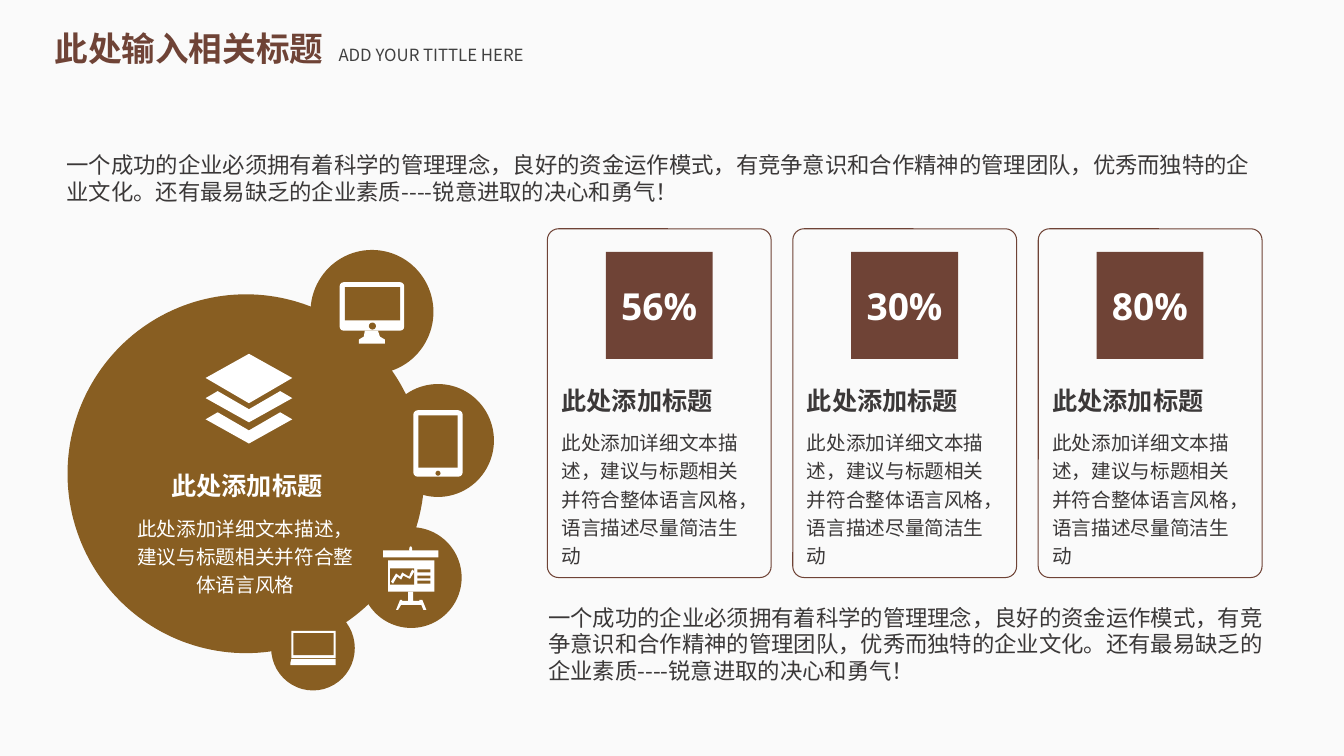
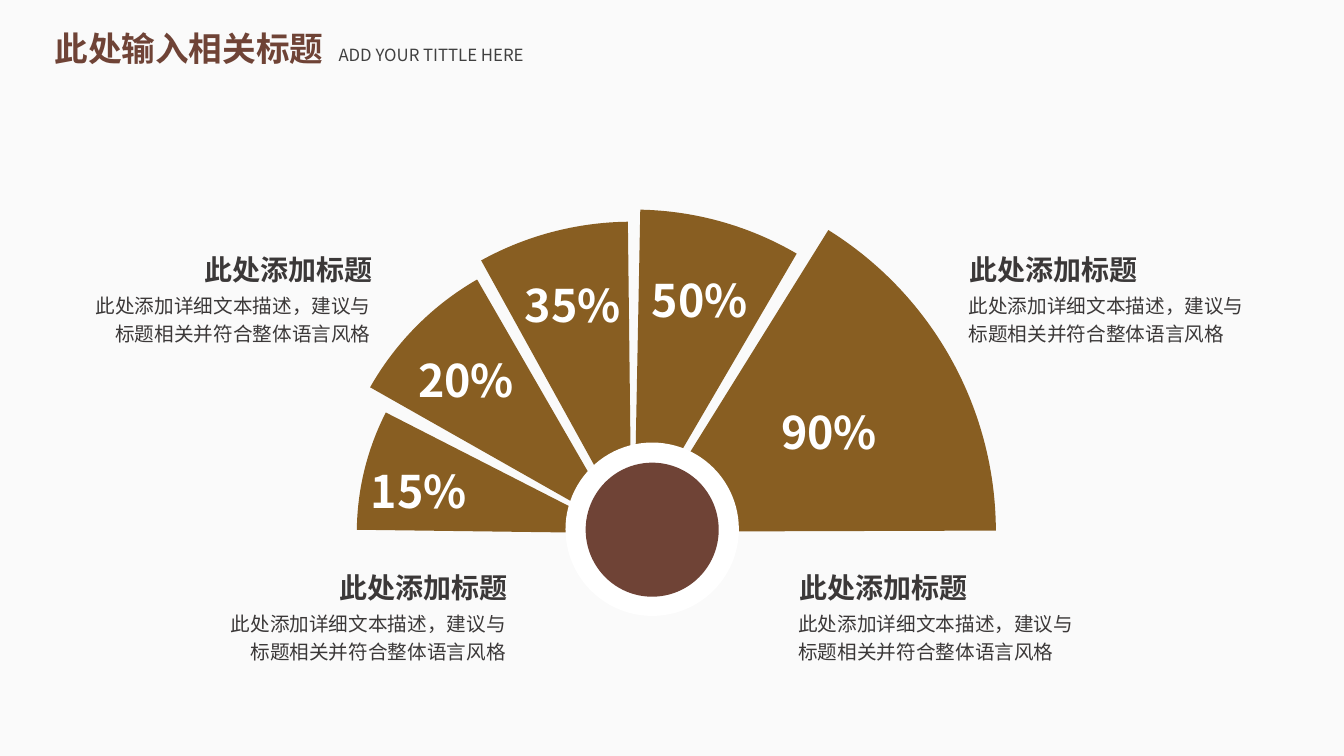
from lxml import etree
from pptx import Presentation
from pptx import util as u
from pptx.dml import color
from pptx.enum import shapes, text
from pptx.oxml import ns

BROWN, OCHRE, WHITE, INK = "6F4336", "885E22", "FFFFFF", "3B3838"
CJK, LATIN = "Noto Sans CJK SC", "Open Sans"
KIND, ALIGN, ANCHOR = shapes.MSO_SHAPE, text.PP_ALIGN, text.MSO_ANCHOR
CELL = u.Inches(1)


def paint(fill, tone):
    fill.solid()
    fill.fore_color.rgb = color.RGBColor.from_string(tone)


def add(slide, kind, area, fill=None, line=None, adjust=(), words="", size=14, tone=INK, bold=False,
        face=CJK, align=ALIGN.LEFT, anchor=ANCHOR.TOP, wrap=True, inset=(0, 0), spacing=1.0):
    spot = [int(value * CELL) for value in area]
    if kind == "title":
        part = slide.shapes.title
        part.left, part.top, part.width, part.height = spot
    elif kind == "text":
        part = slide.shapes.add_textbox(*spot)
    else:
        part = slide.shapes.add_shape(kind, *spot)
        part.shadow.inherit = False
        for index, value in enumerate(adjust):
            part.adjustments[index] = value
        if fill:
            paint(part.fill, fill)
        else:
            part.fill.background()
        if line:
            paint(part.line.fill, line)
            part.line.width = u.Pt(0.75)
        else:
            part.line.fill.background()
    if words:
        frame = part.text_frame
        frame.text = words
        across, down = (u.Inches(value) for value in inset)
        paragraph = frame.paragraphs[0]
        run = paragraph.runs[0]
        formats = [
            (frame, {"word_wrap": wrap, "auto_size": text.MSO_AUTO_SIZE.NONE, "vertical_anchor": anchor,
                     "margin_left": across, "margin_right": across, "margin_top": down, "margin_bottom": down}),
            (paragraph, {"alignment": align, "line_spacing": spacing, "space_before": u.Pt(0)}),
            (run.font, {"name": face, "size": u.Pt(size), "bold": bold}),
        ]
        for target, values in formats:
            for name, value in values.items():
                setattr(target, name, value)
        paint(run.font.fill, tone)
        etree.SubElement(run.font._element, ns.qn("a:ea"), typeface=face)
    return part


deck = Presentation()
deck.slide_width, deck.slide_height = u.Inches(13.333), u.Inches(7.5)
paint(deck.slide_master.background.fill, "FAFAFA")
overview, fan = (deck.slides.add_slide(deck.slide_layouts[5]) for _ in range(2))
for slide in (overview, fan):
    add(slide, "title", (0.44, 0.23, 3.05, 0.5), words="此处输入相关标题", size=24, tone=BROWN,
        bold=True, inset=(0.1, 0.05))
    add(slide, "text", (3.26, 0.39, 2.79, 0.3), words="ADD YOUR TITTLE HERE", size=12, tone="404040",
        inset=(0.1, 0.05))

heading = "此处添加标题"
detail = "此处添加详细文本描述，建议与标题相关并符合整体语言风格"
statement = ("一个成功的企业必须拥有着科学的管理理念，良好的资金运作模式，有竞争意识和合作精神的管理团队，"
             "优秀而独特的企业文化。还有最易缺乏的企业素质----锐意进取的决心和勇气！")
for area in [(0.5, 1.42, 12.08, 0.7), (5.28, 5.91, 7.56, 0.97)]:
    add(overview, "text", area, words=statement, size=16, inset=(0.16, 0.08))

bubbles = [(0.67, 2.92, 3.54, 3.56), (3.08, 2.48, 1.22, 1.23), (3.79, 3.81, 1.11, 1.12),
           (3.58, 5.23, 1, 1), (2.69, 6.01, 0.83, 0.84)]
for area in bubbles:
    add(overview, KIND.OVAL, area, OCHRE)

monitor = [(KIND.ROUNDED_RECTANGLE, (3.37, 2.8, 0.64, 0.48), WHITE, (0.08,)),
           (KIND.RECTANGLE, (3.42, 2.85, 0.55, 0.33), OCHRE, ()),
           (KIND.OVAL, (3.66, 3.2, 0.07, 0.07), OCHRE, ())]
tablet = [(KIND.ROUNDED_RECTANGLE, (4.1, 4.07, 0.49, 0.66), WHITE, (0.09,)),
          (KIND.RECTANGLE, (4.15, 4.12, 0.39, 0.52), OCHRE, ()),
          (KIND.OVAL, (4.32, 4.67, 0.05, 0.05), OCHRE, ())]
laptop = [(KIND.RECTANGLE, (2.89, 6.26, 0.44, 0.27), WHITE, ()),
          (KIND.RECTANGLE, (2.91, 6.28, 0.4, 0.22), OCHRE, ())]
board = [(KIND.OVAL, (4.06, 5.42, 0.03, 0.06), WHITE, ()),
         (KIND.RECTANGLE, (3.8, 5.46, 0.55, 0.07), WHITE, ()),
         (KIND.RECTANGLE, (3.85, 5.56, 0.46, 0.31), WHITE, ()),
         (KIND.RECTANGLE, (3.87, 5.64, 0.24, 0.16), OCHRE, ())]
board += [(KIND.RECTANGLE, (4.14, top, 0.13, 0.03), OCHRE, ()) for top in (5.65, 5.71, 5.76)]
for kind, area, fill, adjust in monitor + tablet + laptop + board:
    add(overview, kind, area, fill, adjust=adjust)

monitor_foot = [(362, 328), (361, 334), (356, 337), (356, 341), (382, 341), (382, 337), (377, 334), (375, 328)]
laptop_base = [(289, 654), (333, 654), (333, 660), (288, 660), (288, 658)]
easel = [(405, 587), (405, 596), (399, 596), (399, 595), (397, 595), (393, 605), (395, 605), (398, 600),
         (418, 600), (420, 605), (423, 605), (419, 595), (416, 595), (416, 596), (410, 596), (410, 587)]
trend = [(407, 569), (406, 572), (404, 571), (399, 568), (397, 572), (393, 569), (388, 577), (390, 579),
         (394, 572), (398, 575), (400, 571), (406, 574), (407, 574), (411, 567), (409, 565)]
top_layer = [(290, 375), (247, 351), (204, 375), (247, 400)]
lower_layers = [[(247, top + 18), (216, top), (204, top + 7), (247, top + 31), (290, top + 7), (278, top)]
                for top in (388, 409)]
for outline in [monitor_foot, laptop_base, easel, trend, top_layer, *lower_layers]:
    builder = overview.shapes.build_freeform(*outline[0], scale=CELL / 100)
    builder.add_line_segments(outline[1:], close=True)
    icon = builder.convert_to_shape()
    icon.shadow.inherit = False
    paint(icon.fill, WHITE)
    icon.line.fill.background()

add(overview, "text", (1.17, 4.61, 2.56, 0.33), words=heading, size=18, tone=WHITE, bold=True,
    align=ALIGN.CENTER, spacing=1.2)
add(overview, "text", (1.33, 5.08, 2.21, 0.85), words=detail, tone=WHITE, align=ALIGN.CENTER, spacing=1.2)

for column, share in enumerate(["56%", "30%", "80%"]):
    left = 5.43 + column * 2.435
    add(overview, KIND.ROUNDED_RECTANGLE, (left, 2.27, 2.22, 3.46), line=BROWN, adjust=(0.05,))
    add(overview, KIND.RECTANGLE, (left + 0.58, 2.5, 1.06, 1.06), BROWN, words=share, size=26.6, tone=WHITE,
        bold=True, face=LATIN, align=ALIGN.CENTER, anchor=ANCHOR.MIDDLE, wrap=False)
    add(overview, "text", (left + 0.14, 3.76, 2.08, 0.36), words=heading, size=18, bold=True, spacing=1.2)
    add(overview, "text", (left + 0.14, 4.23, 1.83, 1.41), words=detail + "，语言描述尽量简洁生动", spacing=1.2)

slices = [("20%", 209.54, 240.03, (3.3, 2.39), 5.73, (4.14, 3.5)),
          ("35%", 241.1, 269.34, (3.18, 2.2), 6.17, (5.2, 2.75)),
          ("50%", 271.12, 300.29, (3.09, 2.08), 6.4, (6.46, 2.7)),
          ("90%", 301.9, 359.82, (2.83, 1.75), 7.05, (7.74, 4.01)),
          ("15%", 180.73, 207.07, (3.54, 2.66), 5.26, (3.67, 4.6))]
for share, start, end, corner, across, label in slices:
    add(fan, KIND.PIE, (*corner, across, across), OCHRE, adjust=(start * 0.6, end * 0.6))
add(fan, KIND.OVAL, (5.61, 4.39, 1.72, 1.72), WHITE)
add(fan, KIND.OVAL, (5.81, 4.59, 1.32, 1.33), BROWN)
for share, start, end, corner, across, label in slices:
    add(fan, "text", (*label, 0.97, 0.54), words=share, size=32, tone=WHITE, bold=True,
        align=ALIGN.CENTER, anchor=ANCHOR.MIDDLE, wrap=False)

captions = [(9.62, 2.51, ALIGN.LEFT), (7.93, 5.66, ALIGN.LEFT),
            (1.78, 2.51, ALIGN.RIGHT), (3.12, 5.66, ALIGN.RIGHT)]
for left, top, align in captions:
    shift, width = (0.13, 3.02) if align == ALIGN.LEFT else (0.95, 2.97)
    add(fan, "text", (left, top, 1.92, 0.34), words=heading, size=20, bold=True, align=align)
    add(fan, "text", (left - shift, top + 0.3, width, 0.69), words=detail, align=align,
        inset=(0.12, 0.06), spacing=1.2)

deck.save("out.pptx")
